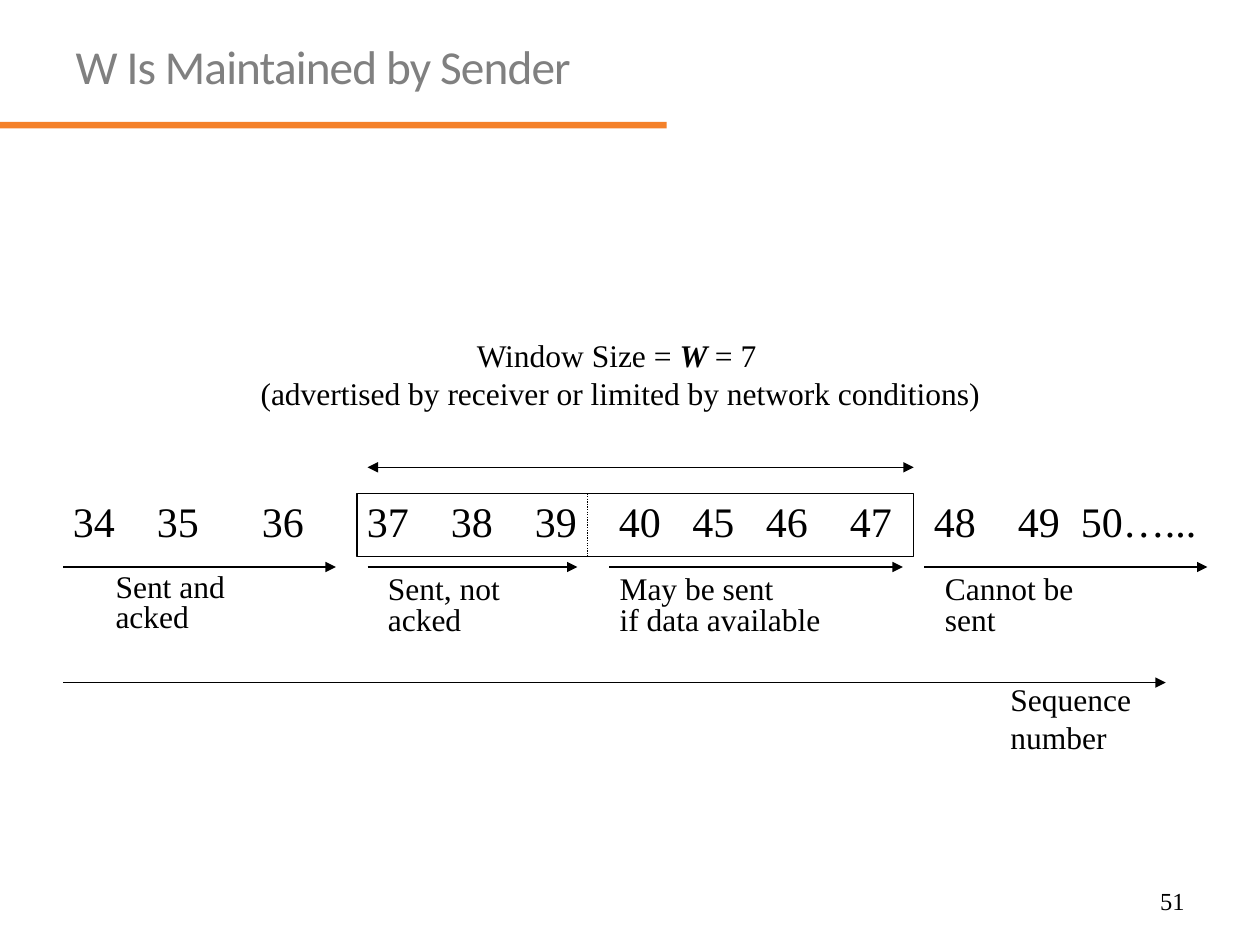
from itertools import accumulate
from lxml import etree
from pptx import Presentation
from pptx import util as u
from pptx.dml.color import RGBColor
from pptx.enum import dml, shapes, text
from pptx.oxml.ns import qn

BLACK = RGBColor(0x00, 0x00, 0x00)
GREY = RGBColor(0x80, 0x80, 0x80)
ORANGE = RGBColor(0xF4, 0x81, 0x2A)
SERIF = "Times New Roman"
LEFT, CENTER, RIGHT = text.PP_ALIGN.LEFT, text.PP_ALIGN.CENTER, text.PP_ALIGN.RIGHT

# Content, lengths in cm
TITLE = "W Is Maintained by Sender"
WINDOW = [
    [("Window Size = ", False), ("W ", True), ("= 7 ", False)],
    [("(advertised by receiver or limited by network conditions)", False)],
]
NUMBERS = ["34", "35", "36", "37", "38", "39", "40", "45", "46", "47", "48", "49", "50…..."]
GAPS = [4, 6, 6, 4, 4, 4, 3, 3, 4, 4, 4, 2]  # between numbers, in quarter ems
# arrow start, arrow end, caption left, caption top, caption width, lines
RANGES = [
    (1.27, 6.77, 2.08, 11.45, 3.45, ["Sent and", "acked"]),
    (7.41, 11.64, 7.57, 11.5, 3.53, ["Sent, not", "acked"]),
    (12.28, 18.2, 12.24, 11.5, 5.89, ["May be sent", "if data available"]),
    (18.63, 24.34, 18.8, 11.5, 3.96, ["Cannot be", "sent"]),
]
AXIS = ["Sequence", "number"]
RANGE_Y, FRAME_TOP, FRAME_H = 11.43, 9.95, 1.27

prs = Presentation()
prs.slide_width, prs.slide_height = u.Cm(25.4), u.Cm(19.05)
s = prs.slides.add_slide(prs.slide_layouts[5])


def cm(*values):
    return [u.Cm(v) for v in values]


def add_rect(box, fill=None):
    sp = s.shapes.add_shape(shapes.MSO_SHAPE.RECTANGLE, *cm(*box))
    sp.shadow.inherit = False
    if fill:
        sp.fill.solid()
        sp.fill.fore_color.rgb = fill
        sp.line.fill.background()
    else:
        sp.fill.background()
        sp.line.color.rgb = BLACK
        sp.line.width = u.Pt(0.75)


def add_line(x1, y1, x2, y2, ends=(), dash=None):
    c = s.shapes.add_connector(shapes.MSO_CONNECTOR.STRAIGHT, *cm(x1, y1, x2, y2))
    c.line.color.rgb = BLACK
    c.line.width = u.Pt(0.75)
    if dash:
        c.line.dash_style = dash
    for end in ends:
        etree.SubElement(c.line._get_or_add_ln(), qn(f"a:{end}"), type="triangle")
    etree.SubElement(c._element.spPr, qn("a:effectLst"))


def add_text(box, paragraphs, size=18, align=LEFT, spacing=None):
    tf = s.shapes.add_textbox(*cm(*box)).text_frame
    tf.word_wrap = True
    for i, runs in enumerate(paragraphs):
        p = tf.paragraphs[0] if i == 0 else tf.add_paragraph()
        p.alignment = align
        if spacing:
            p.line_spacing = spacing
        for words, strong in runs:
            r = p.add_run()
            r.text = words
            r.font.name, r.font.size = SERIF, u.Pt(size)
            r.font.bold = r.font.italic = strong
            r.font.color.rgb = BLACK
    return tf


def plain(lines):
    return [[(line, False)] for line in lines]


# Title, rule and page number
add_rect((0, 2.46, 13.44, 0.13), ORANGE)
title = s.shapes.title
title.left, title.top, title.width, title.height = cm(1.27, 0.76, 22.86, 1.7)
tf = title.text_frame
tf.vertical_anchor = text.MSO_ANCHOR.TOP
p = tf.paragraphs[0]
p.alignment, p.line_spacing = LEFT, 0.9
r = p.add_run()
r.text = TITLE
r.font.name, r.font.size = "Calibri", u.Pt(27)
r.font.color.rgb = GREY
r.font._element.set("spc", "-50")
tf = add_text((18.21, 17.65, 5.92, 1.02), plain(["51"]), 14, RIGHT)
tf.vertical_anchor = text.MSO_ANCHOR.MIDDLE

# Window size
add_text((2.59, 6.65, 19.84, 2.29), WINDOW, align=CENTER)
add_line(7.41, 9.42, 18.42, 9.42, ("headEnd", "tailEnd"))

# Sequence numbers, spaced by tab stops
SIZE = 24
tf = add_text((1.22, 9.86, 23.4, 1.27), plain(["\t".join(NUMBERS)]), SIZE)
tabs = etree.SubElement(tf.paragraphs[0]._p.get_or_add_pPr(), qn("a:tabLst"))
for stop in accumulate(SIZE + gap * SIZE / 4 for gap in GAPS):
    etree.SubElement(tabs, qn("a:tab"), pos=str(u.Pt(stop)), algn="l")

# Window frame with its divider
add_rect((7.2, FRAME_TOP, 11.22, FRAME_H))
add_line(11.85, FRAME_TOP, 11.85, FRAME_TOP + FRAME_H, dash=dml.MSO_LINE.ROUND_DOT)

# Ranges under the numbers
for start, end, left, top, width, lines in RANGES:
    add_line(start, RANGE_Y, end, RANGE_Y, ("tailEnd",))
    add_text((left, top, width, 1.88), plain(lines), spacing=0.8)

# Sequence axis
add_line(1.27, 13.76, 23.5, 13.76, ("tailEnd",))
add_text((20.12, 13.59, 3.76, 2.29), plain(AXIS))

prs.save("out.pptx")
